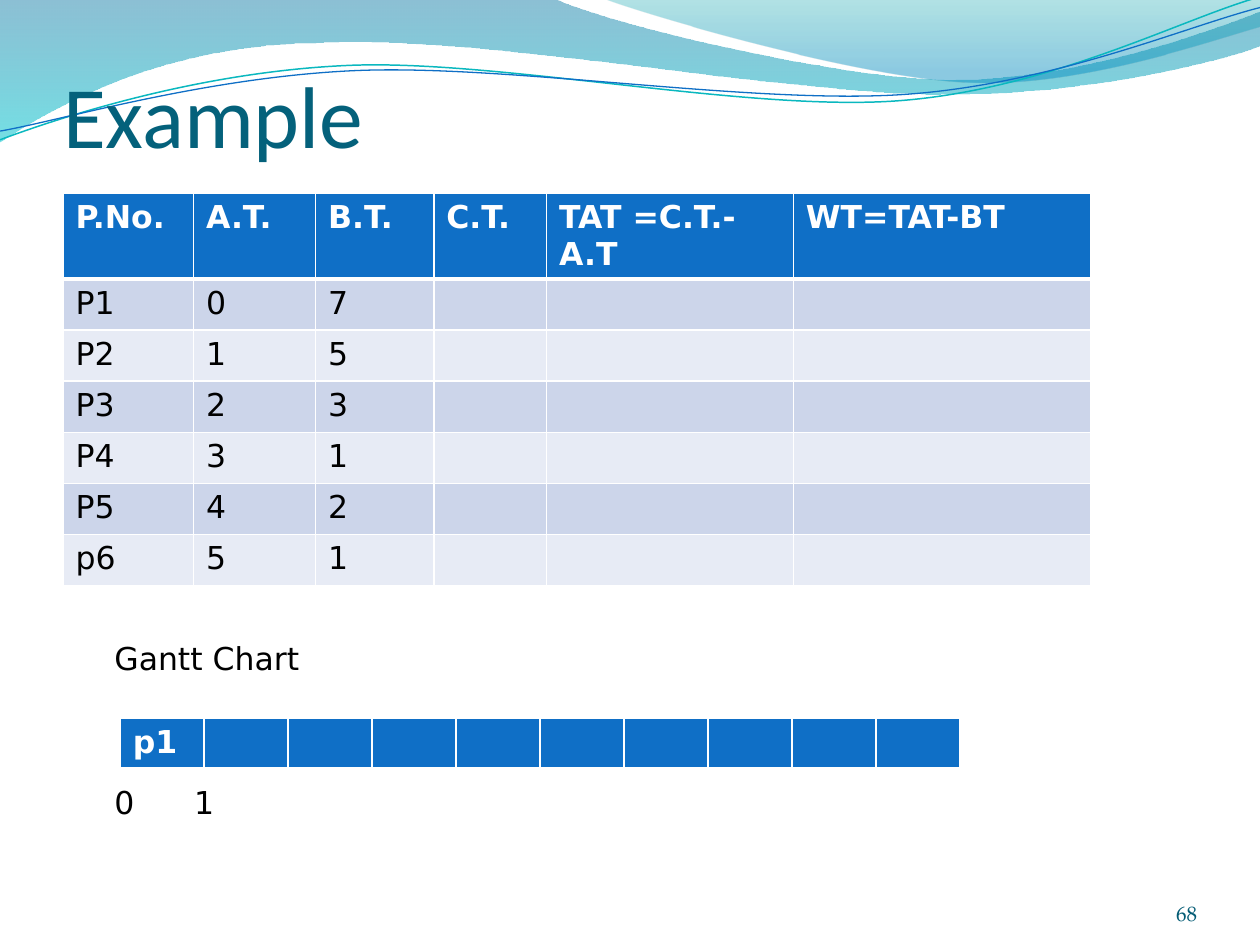
"""Build a scheduling example slide with a process table and a Gantt chart."""
from dataclasses import dataclass
from typing import Optional

from lxml.etree import SubElement
from pptx import Presentation
from pptx.dml.color import RGBColor
from pptx.enum.text import MSO_ANCHOR as Anchor, MSO_AUTO_SIZE as AutoSize, PP_ALIGN as Align
from pptx.oxml.ns import qn
from pptx.util import Pt

WHITE = RGBColor(0xFF, 0xFF, 0xFF)
BLACK = RGBColor(0, 0, 0)
BLUE = RGBColor(0x0F, 0x6F, 0xC6)
TEAL = RGBColor(0x0A, 0xB8, 0xBF)
TITLE = RGBColor(0x04, 0x61, 0x7B)
NUMBER = RGBColor(0x04, 0x5C, 0x75)
BANDS = (RGBColor(0xE7, 0xEB, 0xF5), RGBColor(0xCC, 0xD5, 0xEA))
SANS = "DejaVu Sans"
ROW_HEIGHT = 29.2


@dataclass
class Stop:
    position: float
    color: RGBColor
    opacity: int


@dataclass
class Wave:
    """Segments hold one end point, or two control points and an end point."""
    start: tuple
    segments: list
    stops: tuple = ()
    line: Optional[RGBColor] = None
    width: float = 0


@dataclass
class Label:
    text: str
    x: float
    y: float
    w: float
    h: float = 29


WAVES = [
    Wave((0, -0.7), [
        (316.8, -0.7),
        (342.7, 12.2, 478.1, 45.4, 545.8, 45.4),
        (614.2, 45.4, 689.8, 18.7, 720, 6.5),
        (720.7, 25.9),
        (707.8, 31.7, 626.4, 54.7, 537.1, 54),
        (447.8, 54, 275, 20.2, 185, 24.5),
        (92.9, 25.2, 33.1, 59.8, -0.7, 81.4),
    ], (Stop(0, RGBColor(0, 0x74, 0xA1), 45), Stop(1, RGBColor(0, 0xC6, 0xCF), 55))),
    Wave((344.9, -0.7), [
        (366.5, 7.9, 491, 44.6, 553.7, 46.8),
        (616.3, 49.7, 691.9, 23, 720, 15.1),
        (720, 0),
    ], (Stop(0, RGBColor(0, 0xA1, 0xA9), 30), Stop(0.8, RGBColor(0, 0x8B, 0xBF), 45))),
    Wave((0, 79.9), [
        (34.6, 67, 113.8, 41, 199.4, 37.4),
        (284.4, 33.8, 427, 64.1, 513.4, 57.6),
        (599.8, 51.1, 675.4, 10.8, 718.6, -1.4),
    ], line=TEAL, width=0.85),
    Wave((0, 74.9), [
        (33.8, 69.1, 118.1, 43.9, 203.8, 40.3),
        (290.2, 36.7, 429.8, 59.8, 516.2, 54),
        (601.9, 48.2, 677.5, 15.1, 720, 4.3),
    ], line=BLUE, width=0.75),
]
PROCESSES = [
    ("P.No.", "A.T.", "B.T.", "C.T.", "TAT =C.T.-A.T", "WT=TAT-BT"),
    ("P1", "0", "7"), ("P2", "1", "5"), ("P3", "2", "3"),
    ("P4", "3", "1"), ("P5", "4", "2"), ("p6", "5", "1"),
]
PROCESS_WIDTHS = [74.6, 69.8, 67.5, 64.5, 141, 169.8]
LABELS = [
    Label("1", 103.8, 443.9, 25),
    Label("0", 58.3, 443.9, 25),
    Label("Gantt Chart", 58.3, 361.5, 166),
]


def bend(sp, segments: list) -> None:
    lines = iter(list(sp._element.spPr.iter(qn("a:lnTo"))))
    for seg in segments:
        first, *others = [next(lines) for _ in range(len(seg) // 2)]
        if others:
            first.tag = qn("a:cubicBezTo")
        for line in others:
            first.append(line[0])
            line.getparent().remove(line)


def add_wave(s, wave: Wave) -> None:
    x, y = wave.start
    builder = s.shapes.build_freeform(Pt(x), Pt(y))
    pts = [(Pt(seg[i]), Pt(seg[i + 1])) for seg in wave.segments for i in range(0, len(seg), 2)]
    builder.add_line_segments(pts, close=False)
    sp = builder.convert_to_shape()
    bend(sp, wave.segments)
    sp.shadow.inherit = False
    if not wave.stops:
        sp.fill.background()
        sp.line.color.rgb = wave.line
        sp.line.width = Pt(wave.width)
        return
    SubElement(next(sp._element.spPr.iter(qn("a:path"))), qn("a:close"))
    sp.line.fill.background()
    sp.fill.gradient()
    sp.fill.gradient_angle = 270
    for grad_stop, stop in zip(sp.fill.gradient_stops, wave.stops):
        grad_stop.position = stop.position
        grad_stop.color.rgb = stop.color
    for clr, stop in zip(sp._element.spPr.iter(qn("a:srgbClr")), wave.stops):
        SubElement(clr, qn("a:alpha"), val=str(stop.opacity * 1000))


def style(p, size: float, color: RGBColor, name: str = SANS, bold: bool = False) -> None:
    for r in p.runs:
        r.font.size = Pt(size)
        r.font.name = name
        r.font.bold = bold
        r.font.color.rgb = color


def set_borders(cell, top: float, bottom: float) -> None:
    tc_pr = cell._tc.get_or_add_tcPr()
    for tag, width in (("lnL", 1), ("lnR", 1), ("lnT", top), ("lnB", bottom)):
        ln = SubElement(tc_pr, qn(f"a:{tag}"), w=str(Pt(width)))
        fill = SubElement(ln, qn("a:solidFill"))
        SubElement(fill, qn("a:srgbClr"), val=str(WHITE))


def add_grid(s, x: float, y: float, widths: list, rows: list) -> None:
    frame = s.shapes.add_table(len(rows), len(widths), Pt(x), Pt(y),
                               Pt(sum(widths)), Pt(ROW_HEIGHT * len(rows)))
    tbl = frame.table
    tbl.first_row = tbl.horz_banding = False
    for col, width in zip(tbl.columns, widths):
        col.width = Pt(width)
    for i, row in enumerate(rows):
        head = i == 0
        tbl.rows[i].height = Pt(ROW_HEIGHT)
        for j in range(len(widths)):
            cell = tbl.cell(i, j)
            set_borders(cell, 3 if i == 1 else 1, 3 if head else 1)
            cell.fill.solid()
            cell.fill.fore_color.rgb = BLUE if head else BANDS[i % 2]
            if j < len(row):
                cell.text_frame.text = row[j]
                style(cell.text_frame.paragraphs[0], 18, WHITE if head else BLACK, bold=head)


def add_label(s, label: Label):
    sp = s.shapes.add_textbox(Pt(label.x), Pt(label.y), Pt(label.w), Pt(label.h))
    tf = sp.text_frame
    tf.word_wrap = True
    tf.text = label.text
    style(tf.paragraphs[0], 18, BLACK)
    return tf


def add_title(s, text: str) -> None:
    sp = s.shapes.title
    s.shapes._spTree.append(sp._element)
    sp.left, sp.top, sp.width, sp.height = Pt(36), Pt(55.7), Pt(648), Pt(39)
    tf = sp.text_frame
    tf.text = text
    tf.auto_size = AutoSize.NONE
    tf.vertical_anchor = Anchor.BOTTOM
    tf.margin_left = tf.margin_right = tf.margin_bottom = 0
    tf.margin_top = Pt(3.6)
    tf.paragraphs[0].alignment = Align.LEFT
    style(tf.paragraphs[0], 50, TITLE, "Calibri")


def main() -> None:
    prs = Presentation()
    prs.slide_width, prs.slide_height = Pt(720), Pt(540)
    s = prs.slides.add_slide(prs.slide_layouts[5])
    for wave in WAVES:
        add_wave(s, wave)
    add_title(s, "Example")
    add_grid(s, 36, 110.4, PROCESS_WIDTHS, PROCESSES)
    add_grid(s, 68.7, 410.4, [48] * 10, [("p1",)])
    for label in LABELS:
        add_label(s, label).auto_size = AutoSize.SHAPE_TO_FIT_TEXT
    tf = add_label(s, Label("68", 624, 500, 60))
    tf.vertical_anchor = Anchor.BOTTOM
    tf.margin_left = tf.margin_right = tf.margin_top = tf.margin_bottom = 0
    tf.paragraphs[0].alignment = Align.RIGHT
    style(tf.paragraphs[0], 12, NUMBER, "TeX Gyre Pagella")
    prs.save("out.pptx")


if __name__ == "__main__":
    main()
